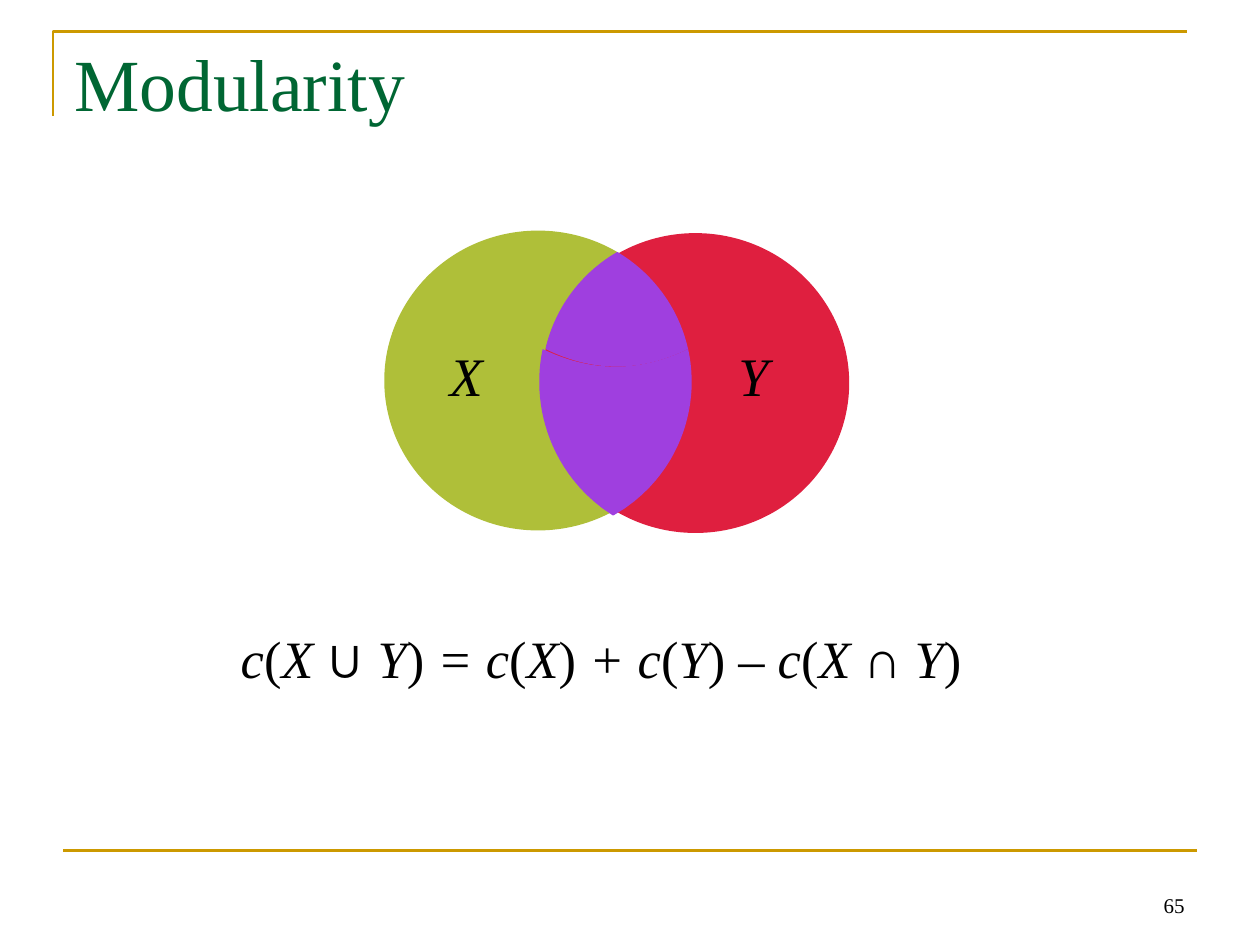
from dataclasses import dataclass
from itertools import cycle
from math import sqrt

from lxml import etree
from pptx import Presentation
from pptx.dml.color import RGBColor
from pptx.enum import shapes, text
from pptx.oxml import ns
from pptx.util import Pt


@dataclass(frozen=True)
class Theme:
    rule: str = "CC9900"
    title: str = "006633"
    ink: str = "000000"
    x_fill: str = "AFBF39"
    y_fill: str = "DF1F3F"
    overlap: str = "9F3FDF"
    font: str = "Times New Roman"
    symbol_font: str = "Arial"
    title_size: float = 42
    formula_size: float = 30
    label_size: float = 31
    number_size: float = 12
    rule_width: float = 1.5


THEME = Theme()


def rgb(code):
    return RGBColor.from_string(code)


def add_text(s, box, inset, anchor=text.MSO_ANCHOR.TOP, wrap=True):
    tf = s.shapes.add_textbox(*map(Pt, box)).text_frame
    tf.word_wrap = wrap
    tf.vertical_anchor = anchor
    tf.margin_left = tf.margin_right = Pt(inset)
    tf.margin_top = tf.margin_bottom = Pt(inset / 2)
    return tf.paragraphs[0]


def add_run(p, words, size, color=THEME.ink, italic=False, font=THEME.font):
    r = p.add_run()
    r.text = words
    r.font.name = font
    r.font.size = Pt(size)
    r.font.italic = italic
    r.font.color.rgb = rgb(color)


def fill_shape(sp, color):
    sp.shadow.inherit = False
    sp.fill.solid()
    sp.fill.fore_color.rgb = rgb(color)
    sp.line.fill.background()


def rule_line(line):
    line.color.rgb = rgb(THEME.rule)
    line.width = Pt(THEME.rule_width)


def frame(s, box):
    x, y, w, h = box
    builder = s.shapes.build_freeform(Pt(x), Pt(y + 48.24))
    builder.add_line_segments([(Pt(x), Pt(y)), (Pt(x + w), Pt(y))], close=False)
    corner = builder.convert_to_shape()
    corner.shadow.inherit = False
    corner.fill.background()
    rule_line(corner.line)

    left, bottom = x + 5.76, y + h
    base = s.shapes.add_connector(
        shapes.MSO_CONNECTOR.STRAIGHT, Pt(left), Pt(bottom), Pt(left + w), Pt(bottom))
    etree.SubElement(base._element.spPr, ns.qn("a:effectLst"))
    rule_line(base.line)


def title(s, box):
    p = add_text(s, box, 6.5, text.MSO_ANCHOR.MIDDLE)
    add_run(p, "Modularity", THEME.title_size, THEME.title)


def overlap_part(s, box, apex, left_radii, right_radii, steps=24):
    x, y = box[:2]
    seam, sag, middle = 67.68, 10.08, 86.4
    x_center, y_center = 87.84, 177.84

    def reach(height, radii):
        return radii[0] * sqrt(1 - ((height - middle) / radii[1]) ** 2)

    heights = [seam + (apex - seam) * i / steps for i in range(steps + 1)]
    left = [(y_center - reach(h, left_radii), h) for h in heights]
    right = [(x_center + reach(h, right_radii), h) for h in heights]
    start, end = left[0][0], right[0][0]
    curve = [(end + (start - end) * t, seam + 4 * sag * t * (1 - t))
             for t in (i / steps for i in range(1, steps))]
    points = [(Pt(x + px), Pt(y + py)) for px, py in left + right[::-1] + curve]
    builder = s.shapes.build_freeform(*points[0])
    builder.add_line_segments(points[1:], close=True)
    fill_shape(builder.convert_to_shape(), THEME.overlap)


def venn(s, box):
    x, y = box[:2]
    circle_size = 175.68, 171.36
    for dx, dy, color in ((0, 0, THEME.x_fill), (90, 1.44, THEME.y_fill)):
        sp = s.shapes.add_shape(
            shapes.MSO_SHAPE.OVAL, *map(Pt, (x + dx, y + dy, *circle_size)))
        fill_shape(sp, color)

    overlap_part(s, box, 12.24, (87.84, 86.2), (87.84, 86.6))
    overlap_part(s, box, 162.72, (89.28, 90), (87.84, 87.63))

    for name, dx, width in (("X", 32.4, 29.52), ("Y", 197.28, 27.36)):
        p = add_text(s, (x + dx, y + 66.96, width, 36), 5, wrap=False)
        p.line_spacing = 0.86
        add_run(p, name, THEME.label_size, italic=True)


def formula(s, box):
    p = add_text(s, box, 6.5)
    p.space_before = Pt(7.5)
    parts = ("c", "(", "X ", "∪", " Y", ")", " = c", "(", "X", ")", " + c", "(",
             "Y", ")", " – c", "(", "X ", "∩", " Y", ")")
    for words, italic in zip(parts, cycle((True, False))):
        font = THEME.symbol_font if words in "∪∩" else THEME.font
        add_run(p, words, THEME.formula_size, italic=italic, font=font)


def slide_number(s, box):
    p = add_text(s, box, 7.2, text.MSO_ANCHOR.BOTTOM)
    p.alignment = text.PP_ALIGN.RIGHT
    add_run(p, "65", THEME.number_size)


def main():
    prs = Presentation()
    prs.slide_width, prs.slide_height = Pt(720), Pt(540)
    s = prs.slides.add_slide(prs.slide_layouts[6])
    frame(s, (30.24, 18, 648, 468))
    title(s, (36, 18, 278.64, 57.6))
    formula(s, (131.04, 354.24, 480.96, 61.2))
    venn(s, (219.6, 131.76, 265.68, 172.8))
    slide_number(s, (516.24, 491.76, 167.76, 36))
    prs.save("out.pptx")


if __name__ == "__main__":
    main()
